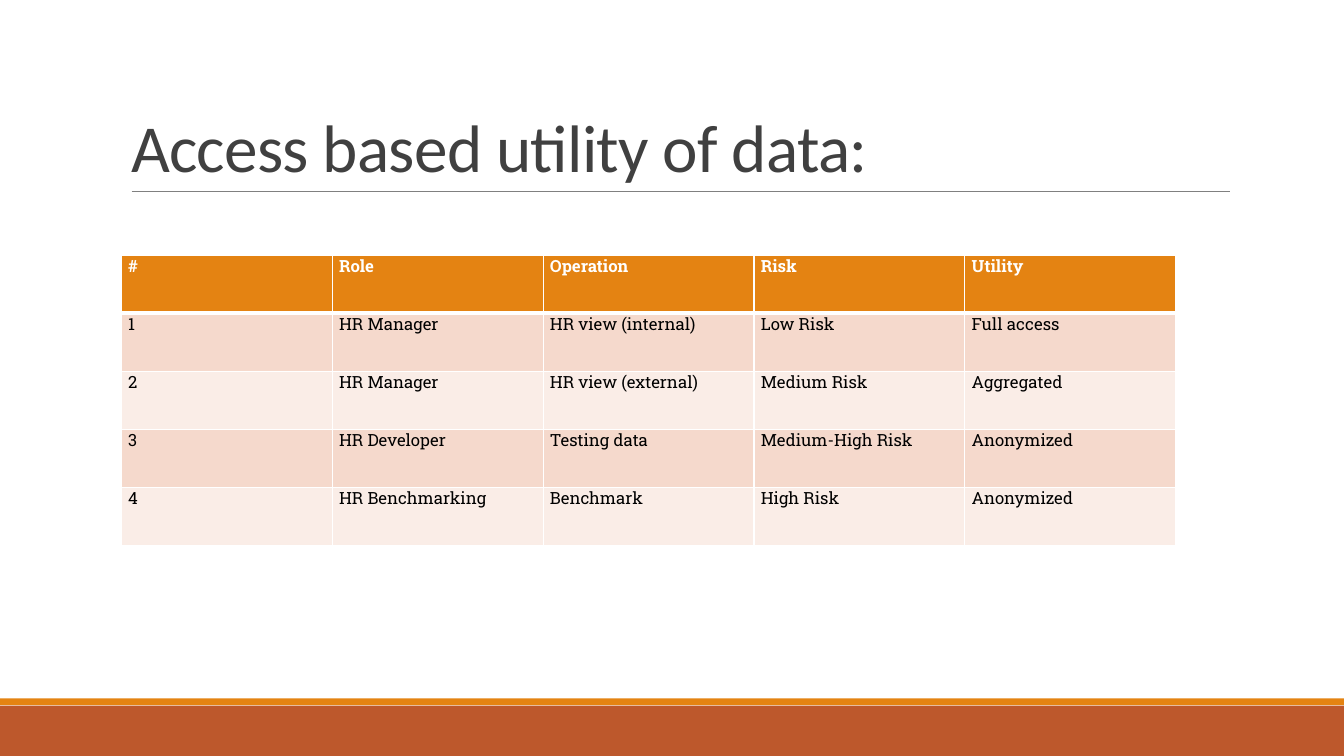
"""Build the slide about access based utility of data."""
from dataclasses import dataclass

from lxml import etree
from pptx import Presentation
from pptx import util as u
from pptx.dml.color import RGBColor
from pptx.enum import shapes, text
from pptx.oxml import ns


@dataclass(frozen=True)
class Theme:
    """Colours, fonts and type sizes of the slide."""
    orange: str = "E48312"
    rust: str = "BD582C"
    rule: str = "808080"
    heading: str = "404040"
    ink: str = "000000"
    white: str = "FFFFFF"
    bands: tuple = ("F5D9CC", "FAEDE7")
    heading_font: str = "Calibri"
    table_font: str = "Roboto Slab"
    heading_size: int = 48
    table_size: int = 12


THEME = Theme()
ROLES = [
    ("#", "Role", "Operation", "Risk", "Utility"),
    ("1", "HR Manager", "HR view (internal)", "Low Risk", "Full access"),
    ("2", "HR Manager", "HR view (external)", "Medium Risk", "Aggregated"),
    ("3", "HR Developer", "Testing data", "Medium-High Risk", "Anonymized"),
    ("4", "HR Benchmarking", "Benchmark", "High Risk", "Anonymized"),
]


def apply(target, formats):
    """Set each attribute of target from a dict of format values."""
    for name, value in formats.items():
        setattr(target, name, value)


def write(paragraph, words, color, **formats):
    """Put one formatted run into a paragraph."""
    run = paragraph.add_run()
    run.text = words
    apply(run.font, formats)
    run.font.color.rgb = RGBColor.from_string(color)
    return run


def add_band(slide, top, height, color):
    """Draw a full-width band without outline."""
    band = slide.shapes.add_shape(
        shapes.MSO_SHAPE.RECTANGLE, 0, u.Cm(top), u.Cm(33.87), u.Cm(height))
    band.shadow.inherit = False
    band.fill.solid()
    band.fill.fore_color.rgb = RGBColor.from_string(color)
    band.line.fill.background()


def add_rule(slide, left, right, top):
    """Draw the thin line below the title."""
    rule = slide.shapes.add_connector(
        shapes.MSO_CONNECTOR.STRAIGHT, u.Cm(left), u.Cm(top), u.Cm(right), u.Cm(top))
    rule.line.color.rgb = RGBColor.from_string(THEME.rule)
    rule.line.width = u.Pt(0.5)
    etree.SubElement(rule._element.spPr, ns.qn("a:effectLst"))


def set_title(slide, words):
    """Place and format the title placeholder."""
    title = slide.shapes.title
    apply(title, {"left": u.Cm(3.05), "top": u.Cm(0.79),
                  "width": u.Cm(27.94), "height": u.Cm(4.03)})
    apply(title.text_frame, {"word_wrap": True,
                             "auto_size": text.MSO_AUTO_SIZE.NONE,
                             "vertical_anchor": text.MSO_ANCHOR.BOTTOM})
    heading = title.text_frame.paragraphs[0]
    apply(heading, {"alignment": text.PP_ALIGN.LEFT, "line_spacing": 0.85})
    run = write(heading, words, THEME.heading, name=THEME.heading_font,
                size=u.Pt(THEME.heading_size))
    run.font._element.set("spc", "-50")


def set_borders(cell, top, bottom):
    """Give a cell white borders, with top and bottom widths in points."""
    properties = cell._tc.get_or_add_tcPr()
    for side, width in {"L": 1, "R": 1, "T": top, "B": bottom}.items():
        border = etree.SubElement(properties, ns.qn(f"a:ln{side}"), w=str(u.Pt(width)))
        paint = etree.SubElement(border, ns.qn("a:solidFill"))
        etree.SubElement(paint, ns.qn("a:srgbClr"), val=THEME.white)


def fill_cell(cell, words, row):
    """Format one cell as header or as part of a banded row."""
    header = row == 0
    apply(cell, {"margin_left": u.Cm(0.17), "margin_right": u.Cm(0.17),
                 "margin_top": 0, "margin_bottom": 0})
    set_borders(cell, top=3 if row == 1 else 1, bottom=3 if header else 1)
    color = THEME.orange if header else THEME.bands[(row - 1) % 2]
    cell.fill.solid()
    cell.fill.fore_color.rgb = RGBColor.from_string(color)
    write(cell.text_frame.paragraphs[0], words, THEME.white if header else THEME.ink,
          name=THEME.table_font, size=u.Pt(THEME.table_size), bold=header)


def add_roles(slide):
    """Add the table of roles with equal columns and rows."""
    roles = slide.shapes.add_table(
        len(ROLES), len(ROLES[0]), u.Cm(3.06), u.Cm(6.43), u.Cm(26.57), u.Cm(7.31)).table
    for row, entries in enumerate(ROLES):
        for column, words in enumerate(entries):
            fill_cell(roles.cell(row, column), words, row)


def main():
    """Build and save the slide."""
    deck = Presentation()
    apply(deck, {"slide_width": u.Cm(33.87), "slide_height": u.Cm(19.05)})
    slide = deck.slides.add_slide(deck.slide_layouts[5])
    add_band(slide, 17.78, 1.27, THEME.rust)
    add_band(slide, 17.6, 0.17, THEME.orange)
    add_rule(slide, 3.32, 31, 4.82)
    set_title(slide, "Access based utility of data:")
    add_roles(slide)
    deck.save("out.pptx")


if __name__ == "__main__":
    main()
